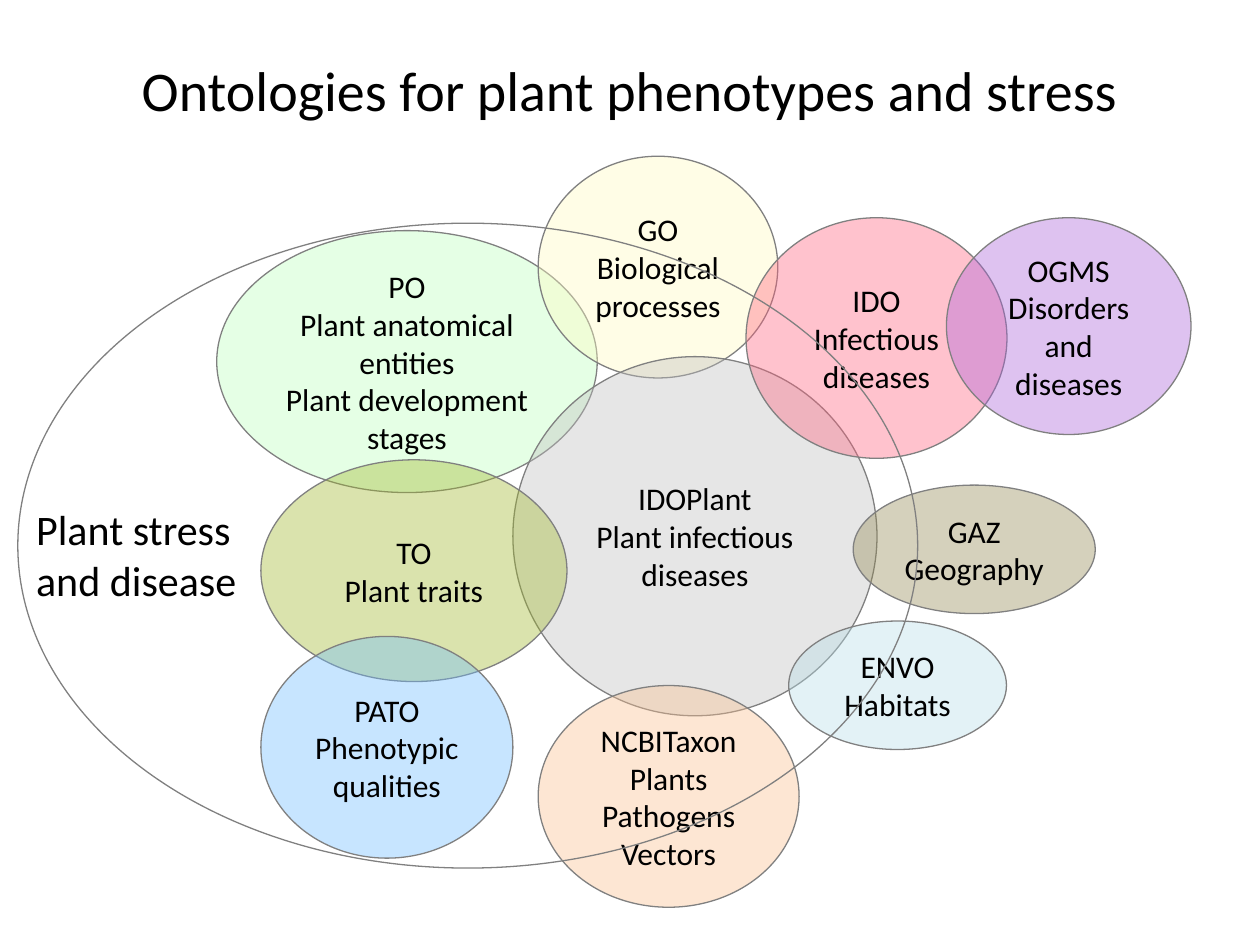
from dataclasses import dataclass

from lxml.etree import SubElement
from pptx import Presentation
from pptx.dml.color import RGBColor
from pptx.enum.shapes import MSO_SHAPE
from pptx.enum.text import MSO_ANCHOR, PP_ALIGN
from pptx.oxml.ns import qn
from pptx.util import Cm, Pt


@dataclass(frozen=True)
class Theme:
    """Colours, font and type sizes of the slide."""
    font: str = "Calibri"
    text: str = "000000"
    outline: str = "808080"
    outline_width: float = 0.75
    title_size: int = 32
    label_size: int = 24
    body_size: int = 18
    alpha: int = 39
    anatomy_alpha: int = 50
    anatomy: str = "CCFFCC"
    process: str = "FFFCC1"
    plant_disease: str = "BFBFBF"
    trait: str = "A1B82D"
    quality: str = "6FBDFF"
    infection: str = "FF637F"
    taxon: str = "FAC090"
    habitat: str = "B7DEE8"
    geography: str = "948A54"
    disorder: str = "AA62DA"


THEME = Theme()

ONTOLOGIES = [
    ("PO\vPlant anatomical entities\nPlant development stages",
     (4.37, 4.65, 7.67, 5.28), THEME.anatomy, THEME.anatomy_alpha),
    ("GO\vBiological processes",
     (10.85, 3.15, 4.83, 4.47), THEME.process, THEME.alpha),
    ("IDOPlant\vPlant infectious diseases",
     (10.34, 7.19, 7.34, 7.24), THEME.plant_disease, THEME.alpha),
    ("TO\vPlant traits",
     (5.26, 9.27, 6.17, 4.47), THEME.trait, THEME.alpha),
    ("PATO\vPhenotypic qualities",
     (5.26, 12.83, 5.08, 4.47), THEME.quality, THEME.alpha),
    ("IDO\vInfectious diseases",
     (15.04, 4.39, 5.26, 4.85), THEME.infection, THEME.alpha),
    ("NCBITaxon\vPlants Pathogens Vectors",
     (10.85, 13.82, 5.26, 4.47), THEME.taxon, THEME.alpha),
    ("ENVO\vHabitats",
     (15.9, 12.52, 4.39, 2.59), THEME.habitat, THEME.alpha),
    ("GAZ\vGeography",
     (17.2, 9.78, 4.88, 2.59), THEME.geography, THEME.alpha),
    ("OGMS\vDisorders and diseases",
     (19.08, 4.39, 4.93, 4.37), THEME.disorder, THEME.alpha),
]


def write_text(tf, text, size, align, anchor):
    """Fill a text frame and format its runs."""
    tf.text = text
    tf.word_wrap = True
    tf.vertical_anchor = anchor
    for p in tf.paragraphs:
        p.alignment = align
        for r in p.runs:
            r.font.name = THEME.font
            r.font.size = Pt(size)
            r.font.color.rgb = RGBColor.from_string(THEME.text)


def add_ellipse(shapes, box):
    """Add an unfilled, outlined ellipse."""
    sp = shapes.add_shape(MSO_SHAPE.OVAL, *map(Cm, box))
    sp.shadow.inherit = False
    sp.fill.background()
    sp.line.color.rgb = RGBColor.from_string(THEME.outline)
    sp.line.width = Pt(THEME.outline_width)
    return sp


def add_ontology(shapes, text, box, color, alpha):
    """Add a translucent ellipse naming an ontology and its scope."""
    sp = add_ellipse(shapes, box)
    sp.fill.solid()
    sp.fill.fore_color.rgb = RGBColor.from_string(color)
    clr = sp.fill._xPr.find(qn("a:solidFill")).find(qn("a:srgbClr"))
    SubElement(clr, qn("a:alpha")).set("val", str(alpha * 1000))
    write_text(sp.text_frame, text, THEME.body_size,
               PP_ALIGN.CENTER, MSO_ANCHOR.MIDDLE)


def add_label(shapes, text, box, size, align, anchor):
    """Add a text box."""
    sp = shapes.add_textbox(*map(Cm, box))
    write_text(sp.text_frame, text, size, align, anchor)


def main():
    """Build the ontology overlap slide."""
    prs = Presentation()
    prs.slide_width, prs.slide_height = Cm(25.4), Cm(19.05)
    s = prs.slides.add_slide(prs.slide_layouts[6])
    add_label(s.shapes, "Ontologies for plant phenotypes and stress",
              (1.27, 0.46, 22.86, 2.69), THEME.title_size,
              PP_ALIGN.CENTER, MSO_ANCHOR.MIDDLE)
    group = s.shapes.add_group_shape()
    for ontology in ONTOLOGIES:
        add_ontology(group.shapes, *ontology)
    add_ellipse(s.shapes, (0.36, 4.5, 18.14, 13))
    add_label(s.shapes, "Plant stress and disease",
              (0.48, 10.03, 5.21, 2.31), THEME.label_size,
              PP_ALIGN.LEFT, MSO_ANCHOR.TOP)
    prs.save("out.pptx")


if __name__ == "__main__":
    main()
